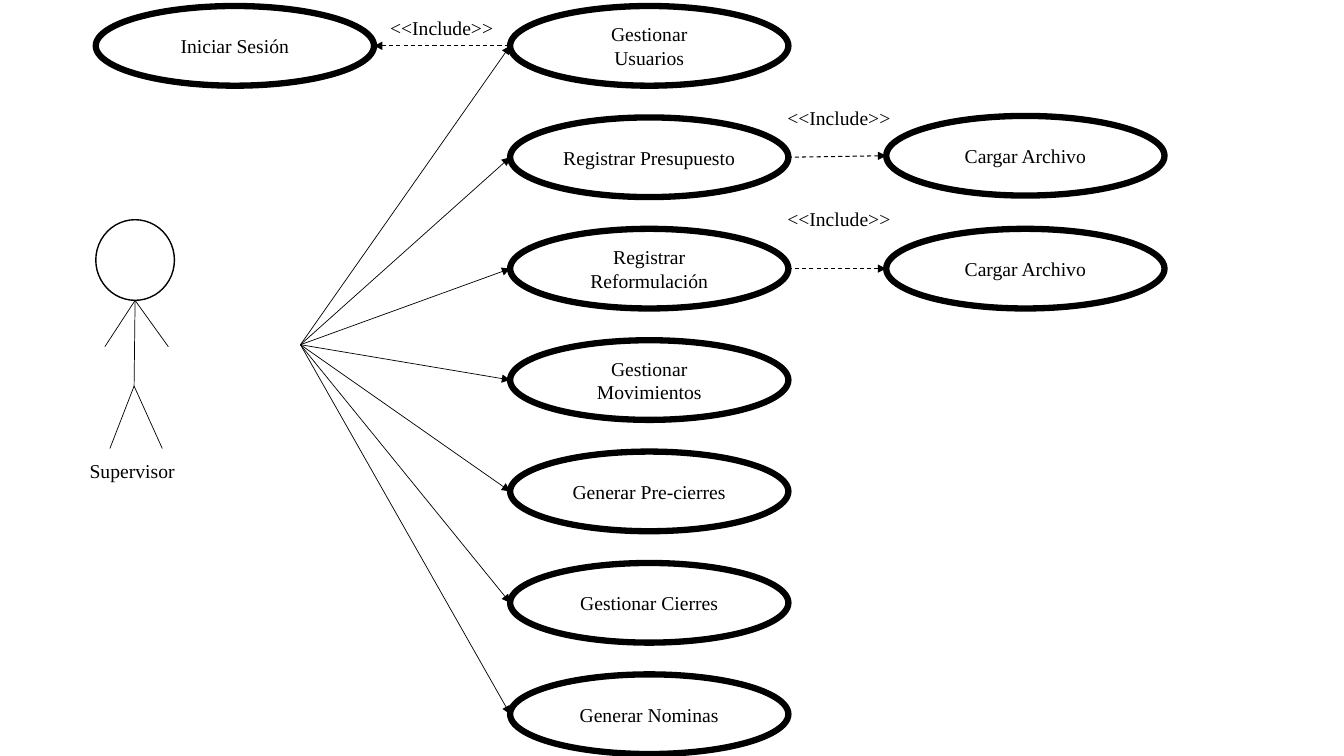
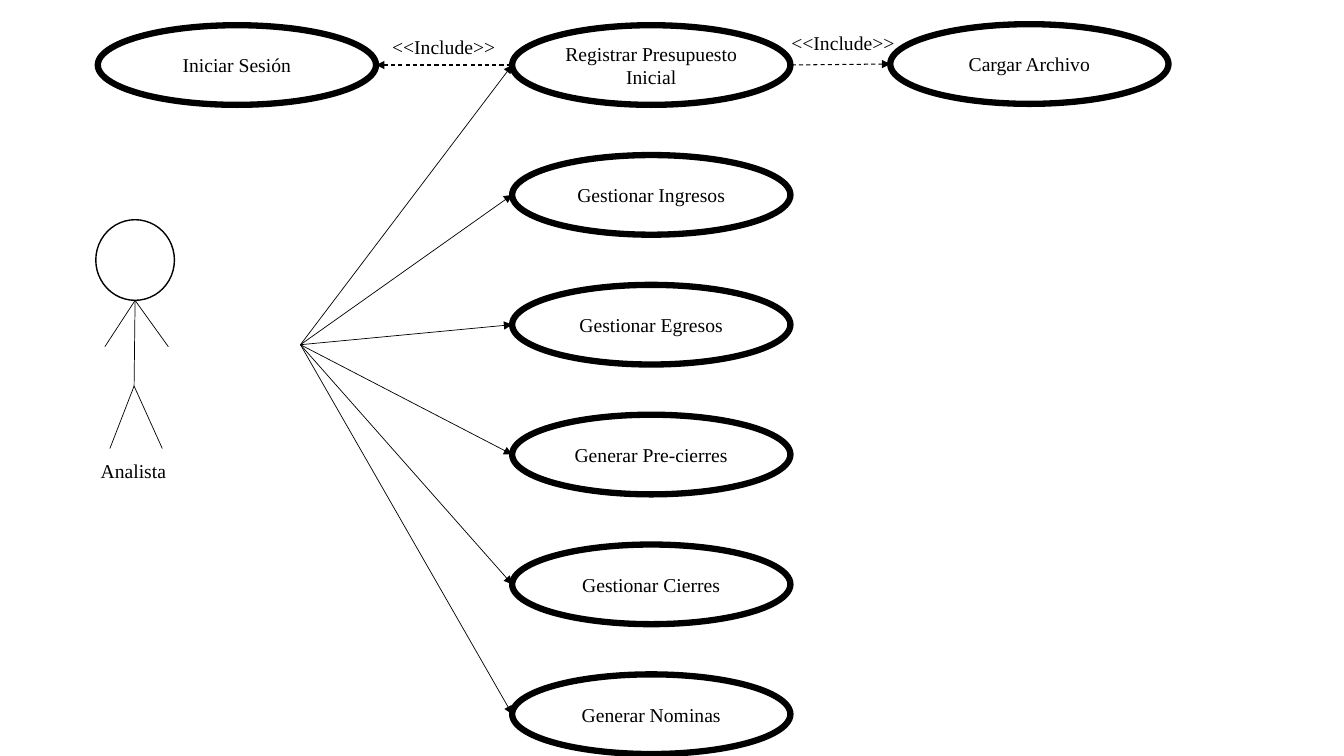
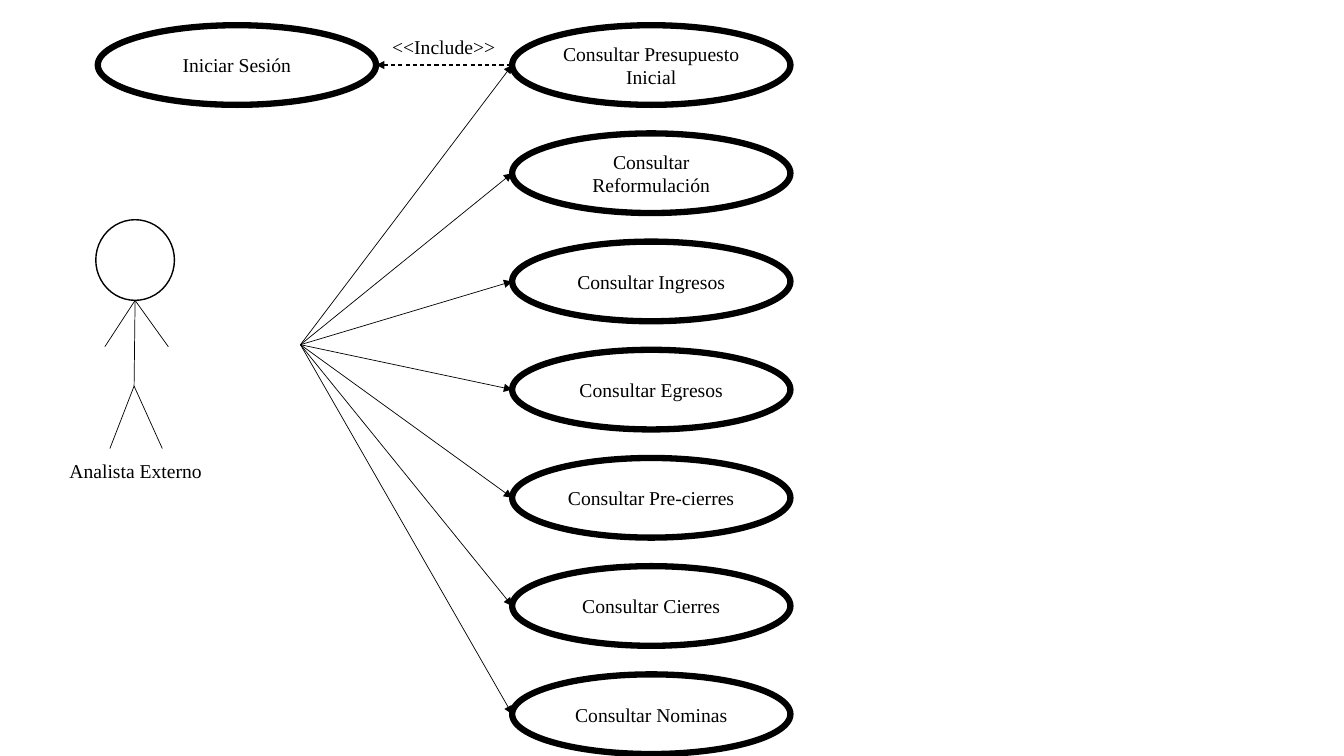
from lxml.etree import SubElement
from pptx import Presentation
from pptx.dml.color import RGBColor
from pptx.enum.dml import MSO_LINE
from pptx.enum.shapes import MSO_CONNECTOR as CONNECTOR, MSO_SHAPE as SHAPE
from pptx.enum.text import MSO_ANCHOR as ANCHOR, MSO_AUTO_SIZE as AUTO_SIZE, PP_ALIGN as ALIGN
from pptx.oxml.ns import qn
from pptx.util import Inches, Pt

COLORS = {"ink": "000000", "paper": "FFFFFF"}
FONT = {"name": "Times New Roman", "size": Pt(14)}
OVAL_WIDTH, OVAL_HEIGHT = 2.76, 0.79
LAST_TOP = 6.69
ACTOR_BOX = (0.95, 2.18, 0.78, 2.27)
FAN_START = (2.98, 3.42)
LOGIN_OFFSET = 4.11
INCLUDE = "<<Include>>"
INCLUDE_WIDTH = 1.25

# Each upload is (use case row, oval top, label top).
DIAGRAMS = [
    {
        "actor": "Supervisor", "name_left": 0.79, "name_width": 1.11,
        "left": 5.06, "top": 0.06, "upload_left": 8.79,
        "cases": ["Gestionar\nUsuarios", "Registrar Presupuesto",
                  "Registrar Reformulación", "Gestionar Movimientos",
                  "Generar Pre-cierres", "Gestionar Cierres", "Generar Nominas"],
        "uploads": [(1, 1.15, 1), (2, 2.27, 2)],
    },
    {
        "actor": "Analista", "name_left": 0.9, "name_width": 0.88,
        "left": 5.08, "top": 0.25, "upload_left": 8.83,
        "cases": ["Registrar Presupuesto Inicial", "Gestionar Ingresos",
                  "Gestionar Egresos", "Generar Pre-cierres",
                  "Gestionar Cierres", "Generar Nominas"],
        "uploads": [(0, 0.24, 0.26)],
    },
    {
        "actor": "Analista Externo", "name_left": 0.59, "name_width": 1.58,
        "left": 5.08, "top": 0.25, "upload_left": 8.83,
        "cases": ["Consultar Presupuesto Inicial", "Consultar Reformulación",
                  "Consultar Ingresos", "Consultar Egresos", "Consultar Pre-cierres",
                  "Consultar Cierres", "Consultar Nominas"],
        "uploads": [],
    },
]


def color(name):
    """Return a palette colour."""
    return RGBColor.from_string(COLORS[name])


def write_text(frame, text, alignment):
    """Write one paragraph per line in the shared font."""
    frame.text = text
    for paragraph in frame.paragraphs:
        paragraph.alignment = alignment
        for run in paragraph.runs:
            for attribute, value in FONT.items():
                setattr(run.font, attribute, value)
            run.font.color.rgb = color("ink")


def add_ellipse(slide, left, top, width, height, weight):
    """Add a white ellipse with a black outline."""
    shape = slide.shapes.add_shape(
        SHAPE.OVAL, Inches(left), Inches(top), Inches(width), Inches(height))
    shape.shadow.inherit = False
    shape.fill.solid()
    shape.fill.fore_color.rgb = color("paper")
    shape.line.color.rgb = color("ink")
    shape.line.width = Pt(weight)
    return shape


def add_use_case(slide, text, left, top):
    """Add a named use case oval."""
    shape = add_ellipse(slide, left, top, OVAL_WIDTH, OVAL_HEIGHT, 4.5)
    shape.text_frame.vertical_anchor = ANCHOR.MIDDLE
    write_text(shape.text_frame, text, ALIGN.CENTER)


def add_label(slide, text, left, top, width):
    """Add a one-line label."""
    shape = slide.shapes.add_textbox(
        Inches(left), Inches(top), Inches(width), Inches(0.34))
    shape.text_frame.word_wrap = True
    shape.text_frame.auto_size = AUTO_SIZE.SHAPE_TO_FIT_TEXT
    write_text(shape.text_frame, text, ALIGN.LEFT)


def add_line(slide, start, end, weight=0.5, arrow=None, dashed=False):
    """Add a straight line; arrow is "headEnd" (at start) or "tailEnd" (at end)."""
    connector = slide.shapes.add_connector(
        CONNECTOR.STRAIGHT, *(Inches(value) for value in (*start, *end)))
    connector.line.color.rgb = color("ink")
    connector.line.width = Pt(weight)
    if dashed:
        connector.line.dash_style = MSO_LINE.DASH
    if arrow:
        SubElement(connector.line._get_or_add_ln(), qn(f"a:{arrow}"), type="triangle")
    SubElement(connector._element.spPr, qn("a:effectLst"))


def add_include(slide, included, base, label_left, label_top):
    """Add a dashed arrow pointing at the included use case, and its label."""
    add_line(slide, included, base, weight=0.75, arrow="headEnd", dashed=True)
    add_label(slide, INCLUDE, label_left, label_top, INCLUDE_WIDTH)


def add_actor(slide, box):
    """Add a stick figure inside the box."""
    left, top, width, height = box
    head_height = 0.8
    add_ellipse(slide, left, top, width, head_height, 1)
    neck = (left + width / 2, top + head_height)
    hip = (neck[0] - 0.01, top + 1.65)
    hand_y, foot_y = neck[1] + 0.46, top + height
    add_line(slide, neck, hip)
    for hand_x, foot_x in ((0.72, 0.66), (0.09, 0.14)):
        add_line(slide, neck, (left + hand_x, hand_y))
        add_line(slide, hip, (left + foot_x, foot_y))


def add_case_column(slide, left, tops, cases):
    """Add the column of use cases and the arrows fanning out to it."""
    for case, top in zip(cases, tops):
        add_use_case(slide, case, left, top)
        add_line(slide, FAN_START, (left, top + OVAL_HEIGHT / 2), arrow="tailEnd")


def add_login(slide, left, top):
    """Add the login oval to the left of the first use case."""
    login_left = left - LOGIN_OFFSET
    middle = top + OVAL_HEIGHT / 2
    add_use_case(slide, "Iniciar Sesión", login_left, top)
    add_include(slide, (login_left + OVAL_WIDTH, middle), (left, middle),
                left - 1.29, top + 0.05)


def add_upload(slide, left, top, base, label_top):
    """Add a file upload oval included by the use case at base."""
    add_use_case(slide, "Cargar Archivo", left, top)
    add_include(slide, (left, top + OVAL_HEIGHT / 2), base, left - 1.08, label_top)


def add_diagram(presentation, diagram):
    """Add one actor's use case diagram as a slide."""
    slide = presentation.slides.add_slide(presentation.slide_layouts[6])
    left, top, cases = diagram["left"], diagram["top"], diagram["cases"]
    pitch = (LAST_TOP - top) / (len(cases) - 1)
    tops = [top + row * pitch for row in range(len(cases))]
    add_actor(slide, ACTOR_BOX)
    add_label(slide, diagram["actor"], diagram["name_left"], 4.5, diagram["name_width"])
    add_login(slide, left, top)
    add_case_column(slide, left, tops, cases)
    for row, upload_top, label_top in diagram["uploads"]:
        base = (left + OVAL_WIDTH, tops[row] + OVAL_HEIGHT / 2)
        add_upload(slide, diagram["upload_left"], upload_top, base, label_top)


presentation = Presentation()
presentation.slide_width, presentation.slide_height = Inches(13.33), Inches(7.5)
for diagram in DIAGRAMS:
    add_diagram(presentation, diagram)
presentation.save("out.pptx")
